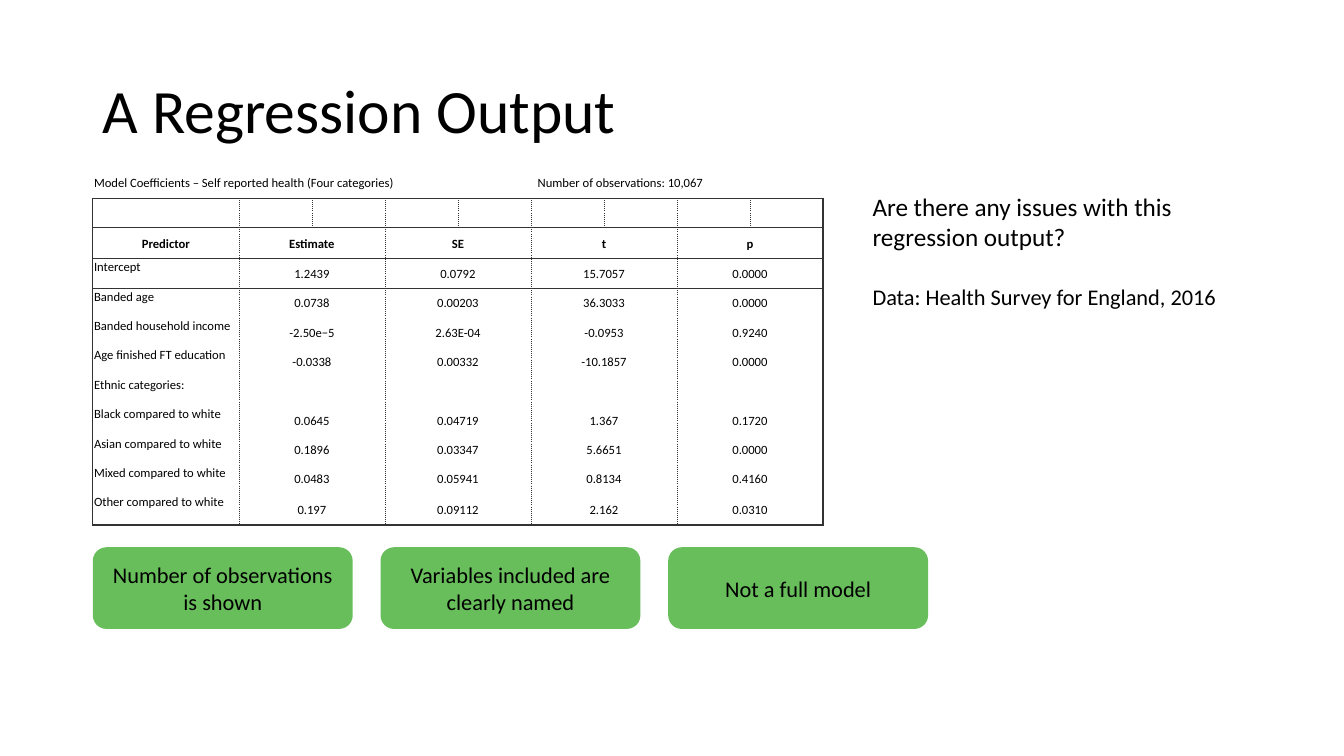
"""Build the slide that shows a regression output table with three remarks."""
from lxml.etree import SubElement
from pptx import Presentation
from pptx.dml.color import RGBColor
from pptx.enum.shapes import MSO_SHAPE as Preset
from pptx.enum.text import MSO_ANCHOR as Anchor, PP_ALIGN as Align
from pptx.oxml.ns import qn
from pptx.util import Cm, Pt

BLACK = RGBColor(0x00, 0x00, 0x00)
BORDER_GREY = RGBColor(0x33, 0x33, 0x33)
GREEN = RGBColor(0x68, 0xBE, 0x5B)
NO_GRID_STYLE = "{2D5ABB26-0587-4C30-8999-92F81FD0307C}"
SOLID, HEAVY, DOTTED = (1, "solid"), (1.5, "solid"), (0.5, "dot")

CAPTION = ("Model Coefficients – Self reported health (Four categories)",
           "\tNumber of observations: 10,067")
HEADER = ("Predictor", "Estimate", "SE", "t", "p")
COEFFICIENTS = (
    ("Intercept", "1.2439", "0.0792", "15.7057", "0.0000"),
    ("Banded age", "0.0738", "0.00203", "36.3033", "0.0000"),
    ("Banded household income", "-2.50e−5", "2.63E-04", "-0.0953", "0.9240"),
    ("Age finished FT education", "-0.0338", "0.00332", "-10.1857", "0.0000"),
    ("Ethnic categories:", "", "", "", ""),
    ("Black compared to white", "0.0645", "0.04719", "1.367", "0.1720"),
    ("Asian compared to white", "0.1896", "0.03347", "5.6651", "0.0000"),
    ("Mixed compared to white", "0.0483", "0.05941", "0.8134", "0.4160"),
    ("Other compared to white", "0.197", "0.09112", "2.162", "0.0310"),
)
REMARKS = ("Number of observations is shown",
           "Variables included are clearly named",
           "Not a full model")


class SlideBuilder:
    """Hold the text style and the current slide, and add elements to it."""

    def __init__(self, slide, font="Calibri", color=BLACK, table_size=9):
        self.slide = slide
        self.font = font
        self.color = color
        self.table_size = table_size

    def add_text_run(self, paragraph, text, size, bold=False):
        """Add one styled run to a paragraph."""
        run = paragraph.add_run()
        run.text = text
        run.font.name = self.font
        run.font.size = Pt(size)
        run.font.bold = bold
        run.font.color.rgb = self.color

    def text(self, box, lines, anchor=Anchor.TOP, line_spacing=None, gap=0):
        """Add a wrapped text box with one paragraph per (text, size) line."""
        frame = self.slide.shapes.add_textbox(*map(Cm, box)).text_frame
        frame.word_wrap = True
        frame.vertical_anchor = anchor
        for index, (text, size) in enumerate(lines):
            paragraph = frame.add_paragraph() if index else frame.paragraphs[0]
            paragraph.line_spacing = line_spacing
            if index:
                paragraph.space_before = Pt(gap)
            self.add_text_run(paragraph, text, size)

    def remark(self, box, text, size=16):
        """Add a green rounded box with centred text."""
        shape = self.slide.shapes.add_shape(Preset.ROUNDED_RECTANGLE, *map(Cm, box))
        shape.shadow.inherit = False
        shape.fill.solid()
        shape.fill.fore_color.rgb = GREEN
        shape.line.fill.background()
        frame = shape.text_frame
        frame.word_wrap = True
        frame.vertical_anchor = Anchor.MIDDLE
        frame.paragraphs[0].alignment = Align.CENTER
        self.add_text_run(frame.paragraphs[0], text, size)

    def borders(self, cell, edges):
        """Draw the given edges of a cell, in the order left, right, top, bottom."""
        properties = cell._tc.get_or_add_tcPr()
        for side in "LRTB":
            if edges.get(side):
                width, dash = edges[side]
                line = SubElement(properties, qn(f"a:ln{side}"), w=str(Pt(width)))
                fill = SubElement(line, qn("a:solidFill"))
                SubElement(fill, qn("a:srgbClr"), val=str(BORDER_GREY))
                SubElement(line, qn("a:prstDash"), val=dash)

    def fill_cell(self, cell, texts, align=Align.LEFT, anchor=Anchor.MIDDLE, bold=False):
        """Put the runs of a table cell in place."""
        cell.vertical_anchor = anchor
        paragraph = cell.text_frame.paragraphs[0]
        paragraph.alignment = align
        for text in filter(None, texts):
            self.add_text_run(paragraph, text, self.table_size, bold)

    def table(self, left, top, column_width, heights):
        """Add the coefficient table, in which each value spans two columns."""
        columns = 2 * len(HEADER)
        last_row, last_column = len(heights) - 1, columns - 1
        table = self.slide.shapes.add_table(
            len(heights), columns, Cm(left), Cm(top),
            Cm(column_width * columns), Cm(sum(heights))).table
        table.first_row = table.horz_banding = False
        table._tbl.tblPr.find(qn("a:tableStyleId")).text = NO_GRID_STYLE
        for column in table.columns:
            column.width = Cm(column_width)
        for row, height in zip(table.rows, heights):
            row.height = Cm(height)

        table.cell(0, 0).merge(table.cell(0, last_column))
        caption = table.cell(0, 0)
        self.fill_cell(caption, CAPTION)
        properties = caption.text_frame.paragraphs[0]._p.get_or_add_pPr()
        tabs = SubElement(properties, qn("a:tabLst"))
        SubElement(tabs, qn("a:tab"), pos=str(Cm(11.18)), algn="l")

        for row, values in enumerate((HEADER, *COEFFICIENTS), start=2):
            for index, value in enumerate(values):
                cell = table.cell(row, 2 * index)
                cell.merge(table.cell(row, 2 * index + 1))
                label = row > 2 and index == 0
                self.fill_cell(cell, [value], Align.LEFT if label else Align.CENTER,
                               Anchor.TOP if label else Anchor.MIDDLE, bold=row == 2)

        horizontal = {1: SOLID, 3: SOLID, last_row + 1: HEAVY}
        vertical = {line: DOTTED for line in range(0, columns + 1, 2)}
        vertical[0] = vertical[columns] = SOLID
        for row in range(len(heights)):
            for column in range(columns):
                cell = table.cell(row, column)
                cell.margin_left = cell.margin_right = cell.margin_top = Cm(0.03)
                cell.margin_bottom = 0
                edges = {"T": horizontal.get(row), "B": horizontal.get(row + 1)}
                if row:
                    right = column + (2 if cell.is_merge_origin else 1)
                    edges |= {"L": vertical.get(column), "R": vertical.get(right)}
                self.borders(cell, edges)
                cell.fill.background()
                paragraph = cell.text_frame.paragraphs[0]
                if not paragraph.runs:
                    SubElement(paragraph._p, qn("a:endParaRPr"), sz=str(self.table_size * 100))


def main():
    """Create the presentation and save it."""
    presentation = Presentation()
    presentation.slide_width, presentation.slide_height = Cm(33.87), Cm(19.05)
    builder = SlideBuilder(presentation.slides.add_slide(presentation.slide_layouts[6]))
    left = 2.34
    builder.text((left, 1.02, 29.21, 3.68), [("A Regression Output", 44)],
                 Anchor.MIDDLE, line_spacing=0.9)
    builder.table(left, 4.22, 1.84, [0.78, 0.74, 0.78] + [0.74] * 8 + [0.78])
    builder.text((21.74, 4.7, 10.41, 3.33),
                 [("Are there any issues with this regression output?", 18),
                  ("Data: Health Survey for England, 2016", 16)], gap=22)
    for index, remark in enumerate(REMARKS):
        builder.remark((left + 7.25 * index, 13.79, 6.55, 2.06), remark)
    presentation.save("out.pptx")


if __name__ == "__main__":
    main()
